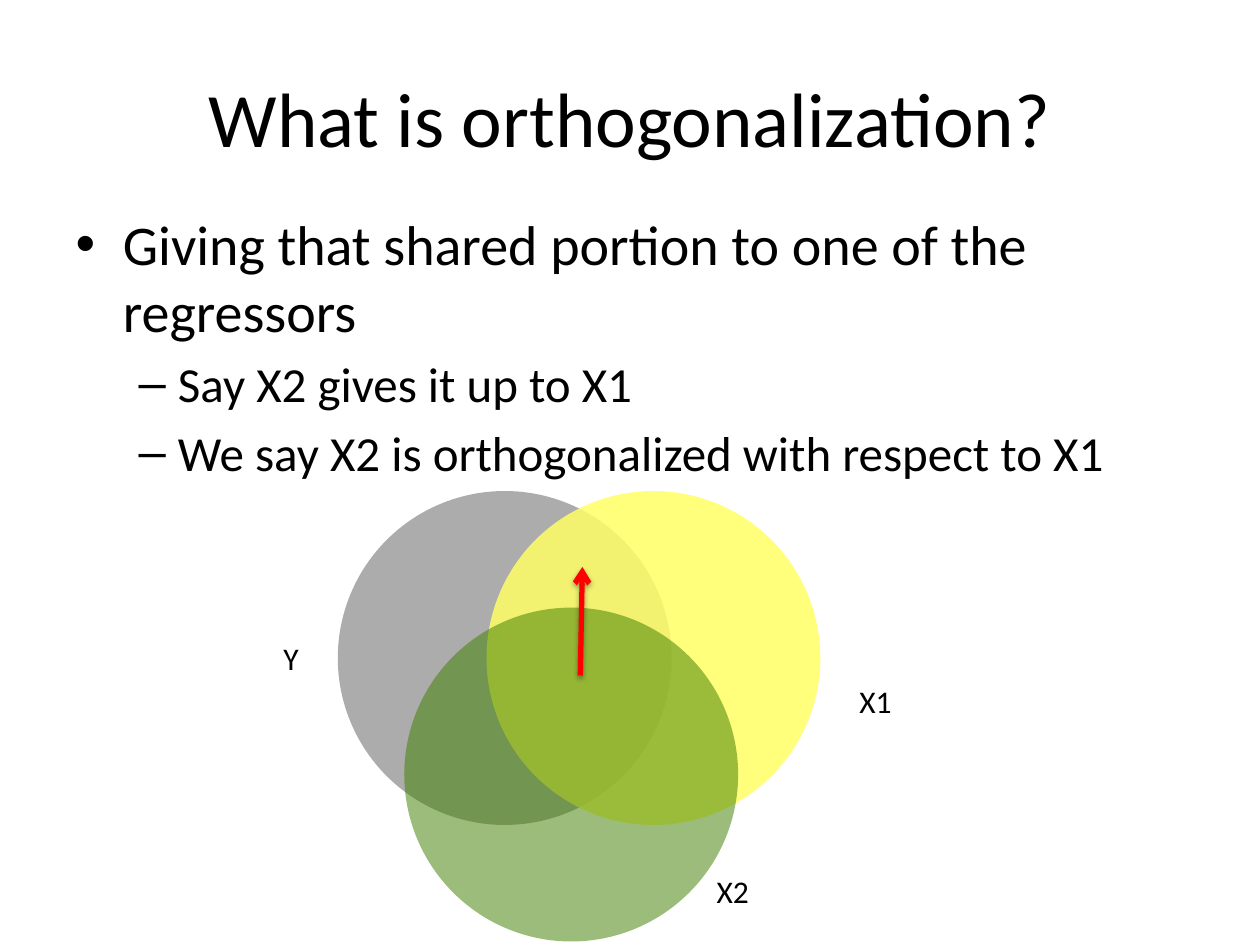
from lxml.etree import SubElement
from pptx import Presentation
from pptx.dml.color import RGBColor
from pptx.enum.shapes import MSO_CONNECTOR, MSO_SHAPE
from pptx.enum.text import MSO_ANCHOR, PP_ALIGN
from pptx.oxml.ns import qn
from pptx.util import Pt


def color(hex_string):
    return RGBColor.from_string(hex_string)


def add_alpha(color_element, percent):
    SubElement(color_element, qn("a:alpha"), val=str(percent * 1000))


class VennPage:
    font_name = "Calibri"
    text_color = "000000"
    diameter = 190.8

    def __init__(self, deck):
        self.page = deck.slides.add_slide(deck.slide_layouts[1])

    def style(self, para, size):
        para.font.name = self.font_name
        para.font.size = Pt(size)
        para.font.color.rgb = color(self.text_color)

    def place(self, box, left, top, width, height):
        box.left, box.top = Pt(left), Pt(top)
        box.width, box.height = Pt(width), Pt(height)

    def title(self, text):
        box = self.page.shapes.title
        self.place(box, 36, 21.6, 648, 90)
        box.text_frame.text = text
        box.text_frame.vertical_anchor = MSO_ANCHOR.MIDDLE
        para = box.text_frame.paragraphs[0]
        para.alignment = PP_ALIGN.CENTER
        self.style(para, 44)

    def bullets(self, items):
        box = self.page.placeholders[1]
        self.place(box, 36, 116, 648, 356.4)
        box.text_frame.text = "\n".join(text for text, level in items)
        for para, (text, level) in zip(box.text_frame.paragraphs, items):
            para.level = level
            self.style(para, 32 - 4 * level)

    def circle(self, left, top, fill, opacity):
        shape = self.page.shapes.add_shape(
            MSO_SHAPE.OVAL, Pt(left), Pt(top), Pt(self.diameter), Pt(self.diameter))
        shape.shadow.inherit = False
        shape.line.fill.background()
        shape.fill.solid()
        shape.fill.fore_color.rgb = color(fill)
        fill_color = shape._element.spPr.find(qn("a:solidFill"))[0]
        add_alpha(fill_color, opacity)

    def label(self, text, left, top):
        box = self.page.shapes.add_textbox(Pt(left), Pt(top), Pt(39), Pt(29))
        box.text_frame.word_wrap = True
        box.text_frame.text = text
        self.style(box.text_frame.paragraphs[0], 18)

    def arrow(self, start, end, line_color, width):
        points = [Pt(value) for value in (*start, *end)]
        connector = self.page.shapes.add_connector(MSO_CONNECTOR.STRAIGHT, *points)
        connector.line.color.rgb = color(line_color)
        connector.line.width = Pt(width)
        properties = connector._element.spPr
        SubElement(properties.find(qn("a:ln")), qn("a:tailEnd"), type="arrow")
        # Soft shadow straight below the arrow
        effects = SubElement(properties, qn("a:effectLst"))
        shadow = SubElement(effects, qn("a:outerShdw"), blurRad=str(Pt(3.1)),
                            dist=str(Pt(1.6)), dir="5400000", rotWithShape="0")
        add_alpha(SubElement(shadow, qn("a:srgbClr"), val="000000"), 38)


def main():
    deck = Presentation()
    deck.slide_width, deck.slide_height = Pt(720), Pt(540)
    venn = VennPage(deck)

    # Heading and explanation
    venn.title("What is orthogonalization?")
    venn.bullets([
        ("Giving that shared portion to one of the regressors", 0),
        ("Say X2 gives it up to X1", 1),
        ("We say X2 is orthogonalized with respect to X1", 1),
    ])

    # Overlapping circles: Y, X1, X2
    venn.circle(193, 280.6, "808080", 65)
    venn.circle(278, 280.6, "FFFF66", 85)
    venn.circle(231, 347.2, "408000", 52)

    # Circle labels
    venn.label("Y", 154.8, 361.4)
    venn.label("X1", 484, 386)
    venn.label("X2", 402.4, 494.6)

    # Shared portion moves from X2 to X1
    venn.arrow((331.6, 386), (332.8, 324), "FF0000", 3)

    deck.save("out.pptx")


if __name__ == "__main__":
    main()
